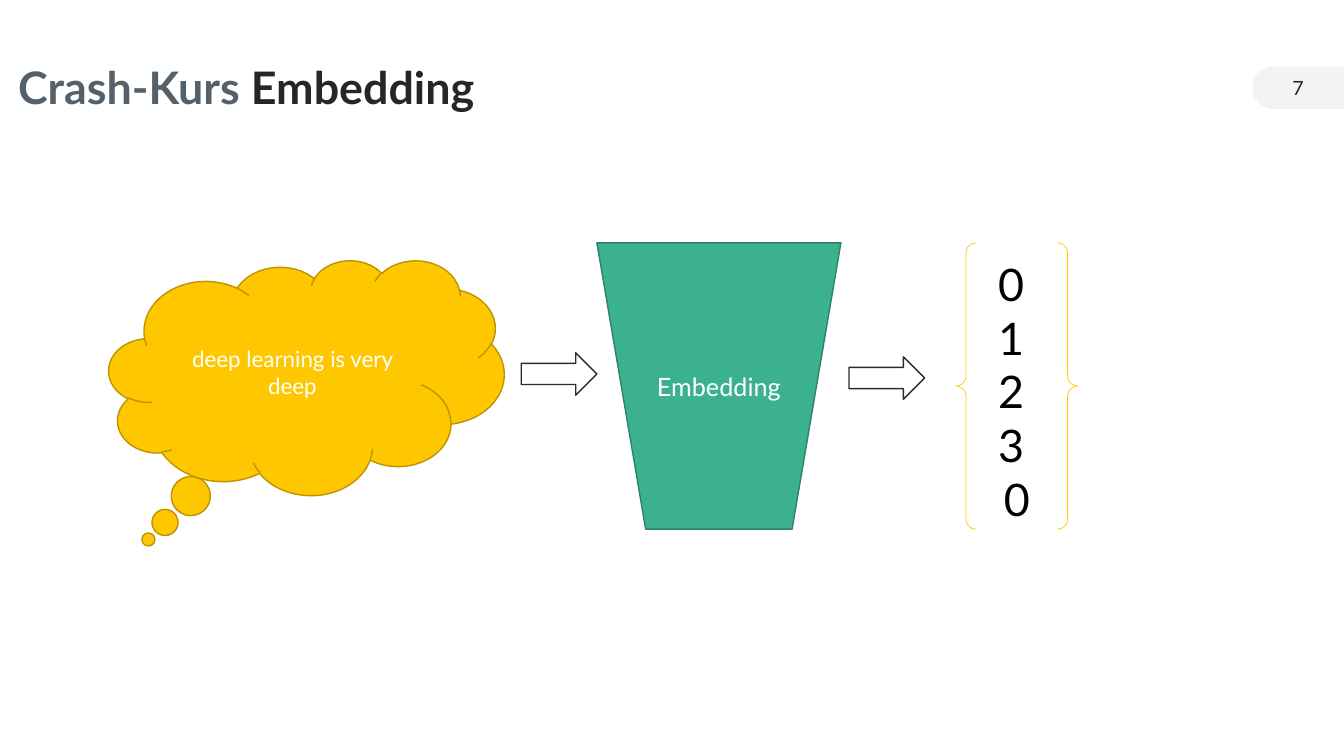
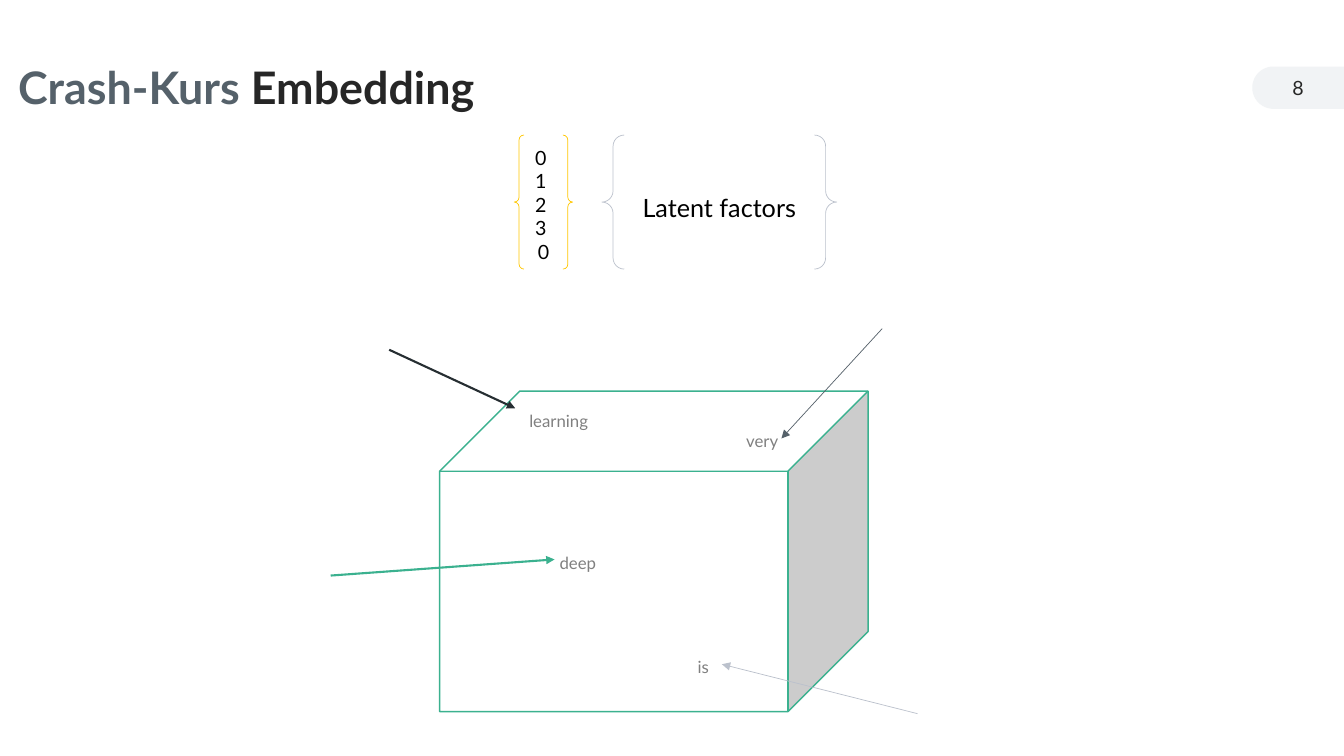
import math

import lxml.etree
import pptx
import pptx.dml.color
import pptx.enum.shapes
import pptx.enum.text
import pptx.oxml.ns
import pptx.util

SHAPE = pptx.enum.shapes.MSO_SHAPE
ALIGN = pptx.enum.text.PP_ALIGN
ANCHOR = pptx.enum.text.MSO_ANCHOR

# Shared look; 100 px make one inch
SCALE = 9144
FONT = "Lato"
INK, SLATE, DARK, SILVER = "262626", "55616A", "262E32", "BBC1CC"
YELLOW, GREEN, WHITE, BLACK = "FFC700", "3BB18F", "FFFFFF", "000000"
GRAY, TAB_FILL = "808080", "F1F3F5"
TITLE_BOX = (18, 45, 865, 88)
TAB_BOX = (1242, 66, 91, 42)

# Content
TITLE = [("Crash-Kurs ", SLATE), ("Embedding", INK)]
VECTOR = ["0 ", "1 ", "2 ", "3 ", "0"]
FIRST_PAGE = 7

# Flow: preset, box, fill, line, lines of text, text size
FLOW = [
    (SHAPE.CLOUD_CALLOUT, (108, 258, 392, 233), YELLOW, "BD9300",
     ["deep learning is very deep"], 16),
    (SHAPE.FLOWCHART_MANUAL_OPERATION, (592, 241, 242, 284), GREEN, "2C836A",
     ["Embedding"], 18),
    (SHAPE.RIGHT_ARROW, (517, 350, 75, 42), WHITE, DARK, [], 18),
    (SHAPE.RIGHT_ARROW, (842, 354, 75, 42), WHITE, DARK, [], 18),
]
CLOUD_TAIL = (-0.4, 0.69)

# Braces: box, line colour, lines of text, text size
FLOW_BRACES = [((948, 241, 121, 284), YELLOW, VECTOR, 32)]
FACTOR_BRACES = [
    ((510, 134, 58, 133), YELLOW, VECTOR, 14),
    ((597, 134, 233, 133), SILVER, ["Latent factors"], 18),
]
CUBE_BOX = (436, 388, 425, 318)

# Words in the cube: word, box, arrow start, arrow end, colour, weight
WORDS = [
    ("learning", (525, 398, 67, 35), (386, 347), (511, 405), DARK, 1.5),
    ("deep", (555, 538, 42, 35), (328, 571), (550, 555), GREEN, 1.5),
    ("very", (740, 417, 75, 35), (875, 326), (775, 435), SLATE, 0.5),
    ("is", (692, 642, 25, 35), (910, 708), (716, 659), SILVER, 0.5),
]


def px(*lengths):
    return [pptx.util.Emu(round(length * SCALE)) for length in lengths]


def rgb(value):
    return pptx.dml.color.RGBColor.from_string(value)


def set_font(font, size, color, bold=False):
    font.name = FONT
    font.size = pptx.util.Pt(size)
    font.color.rgb = rgb(color)
    font.bold = bold


def paint(shape, fill=None, line=None, weight=1):
    shape.shadow.inherit = False
    if fill:
        shape.fill.solid()
        shape.fill.fore_color.rgb = rgb(fill)
    else:
        shape.fill.background()
    if line:
        shape.line.color.rgb = rgb(line)
        shape.line.width = pptx.util.Pt(weight)
    else:
        shape.line.fill.background()


def write(shape, lines, size, color, align=ALIGN.CENTER, spacing=None):
    frame = shape.text_frame
    frame.word_wrap = True
    for index, line in enumerate(lines):
        paragraph = frame.add_paragraph() if index else frame.paragraphs[0]
        paragraph.text = line
        paragraph.alignment = align
        paragraph.line_spacing = spacing
        set_font(paragraph.font, size, color)


def no_side_insets(shape):
    shape.text_frame.margin_left = shape.text_frame.margin_right = 0


def add_preset(slide, preset, box, fill, line, lines, size, color=WHITE, weight=1):
    shape = slide.shapes.add_shape(preset, *px(*box))
    paint(shape, fill, line, weight)
    write(shape, lines, size, color)
    return shape


def add_braces(slide, braces):
    for box, line, lines, size in braces:
        add_preset(slide, SHAPE.DOUBLE_BRACE, box, None, line, lines, size, BLACK, 0.5)


def add_arrow(slide, start, end, color, weight):
    arrow = slide.shapes.add_connector(
        pptx.enum.shapes.MSO_CONNECTOR.STRAIGHT, *px(*start, *end))
    arrow.line.color.rgb = rgb(color)
    arrow.line.width = pptx.util.Pt(weight)
    qn = pptx.oxml.ns.qn
    lxml.etree.SubElement(arrow.get_or_add_ln(), qn("a:tailEnd"), type="triangle")
    lxml.etree.SubElement(arrow._element.spPr, qn("a:effectLst"))


def add_page_tab(slide, number):
    # The left end is a half circle, the right end meets the slide edge
    left, top, width, height = TAB_BOX
    radius = height / 2
    angles = [math.radians(270 - 6 * step) for step in range(31)]
    curve = [px(left + radius + radius * math.cos(angle),
                top + radius + radius * math.sin(angle)) for angle in angles]
    corners = [px(left + width, top + height), px(left + width, top)]
    builder = slide.shapes.build_freeform(*curve[0])
    builder.add_line_segments(curve[1:] + corners, close=True)
    tab = builder.convert_to_shape()
    paint(tab, TAB_FILL)
    no_side_insets(tab)
    tab.text_frame.vertical_anchor = ANCHOR.MIDDLE
    write(tab, [str(number)], 14, INK)


def add_slide(presentation, number):
    slide = presentation.slides.add_slide(presentation.slide_layouts[5])
    title = slide.shapes.title
    title.left, title.top, title.width, title.height = px(*TITLE_BOX)
    no_side_insets(title)
    title.text_frame.vertical_anchor = ANCHOR.MIDDLE
    paragraph = title.text_frame.paragraphs[0]
    paragraph.alignment = ALIGN.LEFT
    paragraph.line_spacing = 0.9
    for text, color in TITLE:
        run = paragraph.add_run()
        run.text = text
        set_font(run.font, 32, color, bold=True)
    add_page_tab(slide, number)
    return slide


def build_flow(slide):
    shapes = [add_preset(slide, *part) for part in FLOW]
    cloud = shapes[0]
    cloud.adjustments[0], cloud.adjustments[1] = CLOUD_TAIL
    add_braces(slide, FLOW_BRACES)


def build_latent_space(slide):
    add_braces(slide, FACTOR_BRACES)
    add_preset(slide, SHAPE.CUBE, CUBE_BOX, WHITE, GREEN, [], 18)
    for word, box, start, end, color, weight in WORDS:
        label = slide.shapes.add_textbox(*px(*box))
        no_side_insets(label)
        write(label, [word], 12, GRAY, ALIGN.LEFT, 1.25)
        add_arrow(slide, start, end, color, weight)


def main():
    presentation = pptx.Presentation()
    presentation.slide_width, presentation.slide_height = px(1333, 750)
    for number, build in enumerate([build_flow, build_latent_space], FIRST_PAGE):
        build(add_slide(presentation, number))
    presentation.save("out.pptx")


if __name__ == "__main__":
    main()
